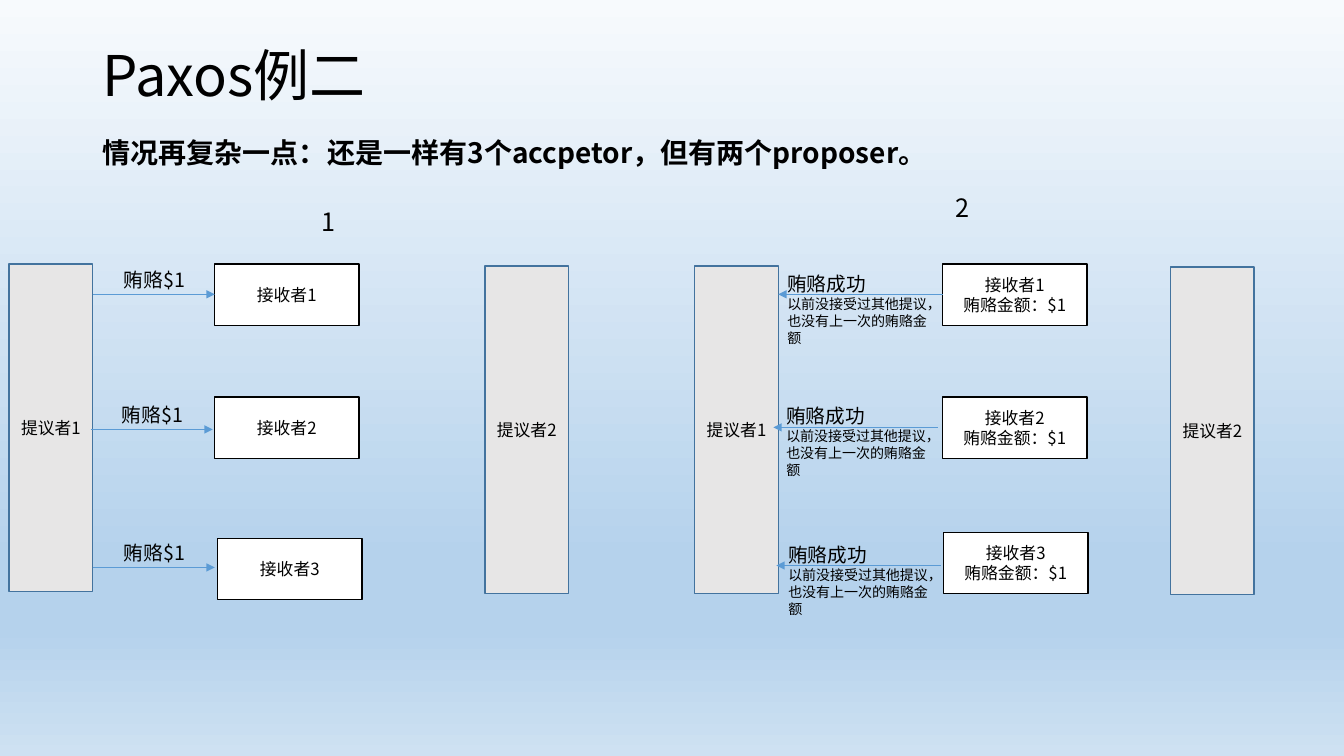
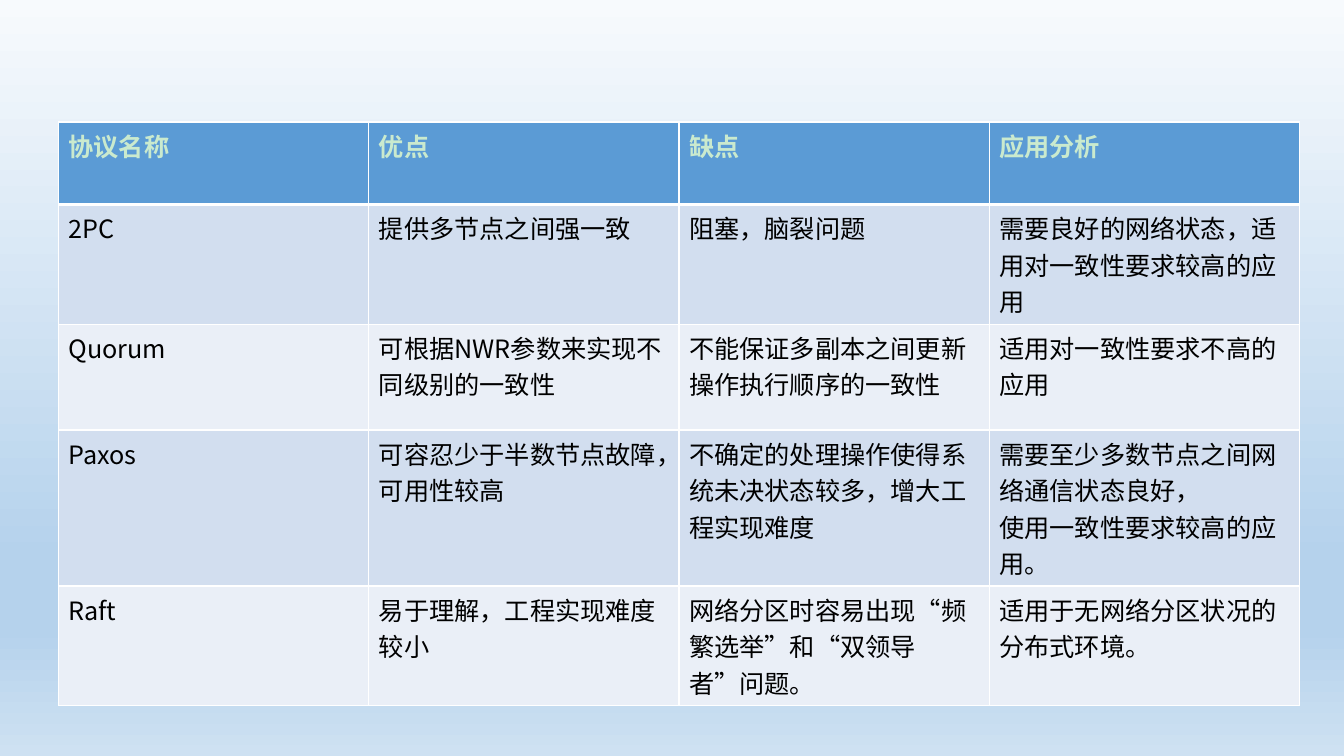
from lxml.etree import SubElement
from pptx import Presentation
from pptx.dml.color import RGBColor
from pptx.enum.shapes import MSO_CONNECTOR as Connector, MSO_SHAPE as Shape
from pptx.enum.text import MSO_ANCHOR as Anchor, PP_ALIGN as Align
from pptx.oxml.ns import qn
from pptx.util import Inches, Pt

FONT = "Noto Sans CJK SC"
COLORS = {
    "ink": "000000", "paper": "FFFFFF", "proposer": "E7E6E6",
    "proposer_edge": "43739E", "accent": "5B9BD5", "header_text": "CAEACE",
    "band_dark": "D2DEEF", "band_light": "EAEFF7",
}
BACKGROUND_STOPS = [(0, "F7FAFD"), (74, "B5D2EC"), (83, "B5D2EC"), (100, "CEE1F2")]

# Font and paragraph formats by role
FONTS = {
    "title": {"size": Pt(40)},
    "lead": {"size": Pt(20), "bold": True},
    "number": {"size": Pt(18)},
    "box": {"size": Pt(12)},
    "message": {"size": Pt(14)},
    "detail": {"size": Pt(10)},
    "header": {"size": Pt(18), "bold": True},
    "cell": {"size": Pt(18), "bold": False},
}
PARAGRAPHS = {
    "title": {"line_spacing": 0.9},
    "lead": {"line_spacing": 0.9, "space_before": Pt(10)},
    "box": {"alignment": Align.CENTER},
}

# Slide content
ACCEPTED = [("贿赂成功", "message"),
            ("以前没接受过其他提议，也没有上一次的贿赂金额", "detail")]
PROTOCOLS = [
    ["协议名称", "优点", "缺点", "应用分析"],
    ["2PC", "提供多节点之间强一致", "阻塞，脑裂问题",
     "需要良好的网络状态，适用对一致性要求较高的应用"],
    ["Quorum", "可根据NWR参数来实现不同级别的一致性",
     "不能保证多副本之间更新操作执行顺序的一致性", "适用对一致性要求不高的应用"],
    ["Paxos", "可容忍少于半数节点故障，可用性较高",
     "不确定的处理操作使得系统未决状态较多，增大工程实现难度",
     "需要至少多数节点之间网络通信状态良好，\n使用一致性要求较高的应用。"],
    ["Raft", "易于理解，工程实现难度较小",
     "网络分区时容易出现“频繁选举”和“双领导者”问题。",
     "适用于无网络分区状况的分布式环境。"],
]
ROW_HEIGHTS = [0.82, 1.05, 1.05, 1.37, 1.05]


def rgb(color):
    return RGBColor.from_string(COLORS[color])


def apply_format(target, values):
    for attribute, value in values.items():
        setattr(target, attribute, value)


def write(frame, lines, color="ink"):
    """Fill a text frame with (text, role) lines, one paragraph each."""
    for index, (text, role) in enumerate(lines):
        paragraph = frame.add_paragraph() if index else frame.paragraphs[0]
        apply_format(paragraph, PARAGRAPHS.get(role, {}))
        run = paragraph.add_run()
        run.text = text
        run.font.color.rgb = rgb(color)
        apply_format(run.font, {"name": FONT, **FONTS[role]})
        SubElement(run.font._element, qn("a:ea"), typeface=FONT)


def add_label(slide, left, top, width, height, lines, anchor=Anchor.TOP):
    label = slide.shapes.add_textbox(*map(Inches, (left, top, width, height)))
    apply_format(label.text_frame, {"word_wrap": True, "vertical_anchor": anchor})
    write(label.text_frame, lines)


def add_box(slide, left, top, width, height, texts, fill, edge):
    box = slide.shapes.add_shape(
        Shape.RECTANGLE, *map(Inches, (left, top, width, height)))
    box.shadow.inherit = False
    box.fill.solid()
    box.fill.fore_color.rgb = rgb(fill)
    box.line.color.rgb = rgb(edge)
    box.line.width = Pt(1)
    apply_format(box.text_frame, {"word_wrap": True, "vertical_anchor": Anchor.MIDDLE})
    write(box.text_frame, [(text, "box") for text in texts])


def add_proposer(slide, left, top, number):
    add_box(slide, left, top, 0.83, 3.25, [f"提议者{number}"],
            "proposer", "proposer_edge")


def add_acceptor(slide, left, top, texts):
    add_box(slide, left, top, 1.43, 0.61, texts, "paper", "ink")


def add_arrow(slide, start, end, y):
    arrow = slide.shapes.add_connector(
        Connector.STRAIGHT, *map(Inches, (start, y, end, y)))
    arrow.line.color.rgb = rgb("accent")
    arrow.line.width = Pt(0.5)
    SubElement(arrow.line._get_or_add_ln(), qn("a:tailEnd"), type="triangle")
    SubElement(arrow._element.spPr, qn("a:effectLst"))


def add_border(cell, side, width):
    line = SubElement(cell._tc.get_or_add_tcPr(), qn(f"a:ln{side}"), w=str(Pt(width)))
    fill = SubElement(line, qn("a:solidFill"))
    SubElement(fill, qn("a:srgbClr"), val=COLORS["paper"])


def set_background(master):
    fill = master.background.fill
    fill.gradient()
    fill.gradient_angle = 270
    stops = master.element.find(".//" + qn("a:gsLst"))
    for stop in list(stops):
        stops.remove(stop)
    for position, color in BACKGROUND_STOPS:
        stop = SubElement(stops, qn("a:gs"), pos=str(position * 1000))
        SubElement(stop, qn("a:srgbClr"), val=color)


def build_example(slide):
    add_label(slide, 0.92, 0.23, 11.5, 1.1, [("Paxos例二", "title")], Anchor.MIDDLE)
    add_label(slide, 0.92, 1.33, 11.96, 0.5,
              [("情况再复杂一点：还是一样有3个accpetor，但有两个proposer。", "lead")])

    # Step 1: the first proposer sends its offers
    add_label(slide, 3.09, 2, 0.7, 0.4, [("1", "number")])
    add_proposer(slide, 0.09, 2.62, 1)
    add_proposer(slide, 4.81, 2.64, 2)
    offers = [(2.13, 2.62, 0.92, 2.92), (2.13, 3.94, 0.9, 4.26), (2.16, 5.34, 0.92, 5.63)]
    for number, (left, top, start, y) in enumerate(offers, 1):
        add_acceptor(slide, left, top, [f"接收者{number}"])
        add_arrow(slide, start, start + 1.21, y)
        add_label(slide, start + 0.21, y - 0.31, 0.94, 0.34, [("贿赂$1", "message")])

    # Step 2: the acceptors answer
    add_label(slide, 9.38, 1.86, 0.7, 0.4, [("2", "number")])
    add_proposer(slide, 6.89, 2.64, 1)
    add_proposer(slide, 11.61, 2.65, 2)
    replies = [(9.35, 2.62, 9.35, 2.92, 7.71, 2.65),
               (9.35, 3.94, 9.3, 4.24, 7.7, 3.96),
               (9.36, 5.28, 9.33, 5.61, 7.72, 5.34)]
    for number, (left, top, start, y, note_left, note_top) in enumerate(replies, 1):
        add_acceptor(slide, left, top, [f"接收者{number}", "贿赂金额：$1"])
        add_label(slide, note_left, note_top, 1.65, 0.84, ACCEPTED)
        add_arrow(slide, start, start - 1.63, y)


def build_comparison(slide):
    table = slide.shapes.add_table(
        len(PROTOCOLS), len(PROTOCOLS[0]),
        *map(Inches, (0.58, 1.21, 12.31, sum(ROW_HEIGHTS)))).table
    apply_format(table, {"first_row": False, "horz_banding": False})
    for row, (height, texts) in enumerate(zip(ROW_HEIGHTS, PROTOCOLS)):
        table.rows[row].height = Inches(height)
        role, color, fill = (
            ("cell", "ink", "band_dark" if row % 2 else "band_light") if row
            else ("header", "header_text", "accent"))
        # The rule under the header row is heavier than the others
        borders = {"L": 1, "R": 1, "T": 3 if row == 1 else 1, "B": 1 if row else 3}
        for column, text in enumerate(texts):
            cell = table.cell(row, column)
            for side, width in borders.items():
                add_border(cell, side, width)
            cell.fill.solid()
            cell.fill.fore_color.rgb = rgb(fill)
            write(cell.text_frame, [(line, role) for line in text.split("\n")], color)


def main():
    deck = Presentation()
    deck.slide_width, deck.slide_height = Inches(13.33), Inches(7.5)
    set_background(deck.slide_master)
    blank = deck.slide_layouts[6]
    for build in (build_example, build_comparison):
        build(deck.slides.add_slide(blank))
    deck.save("out.pptx")


main()
